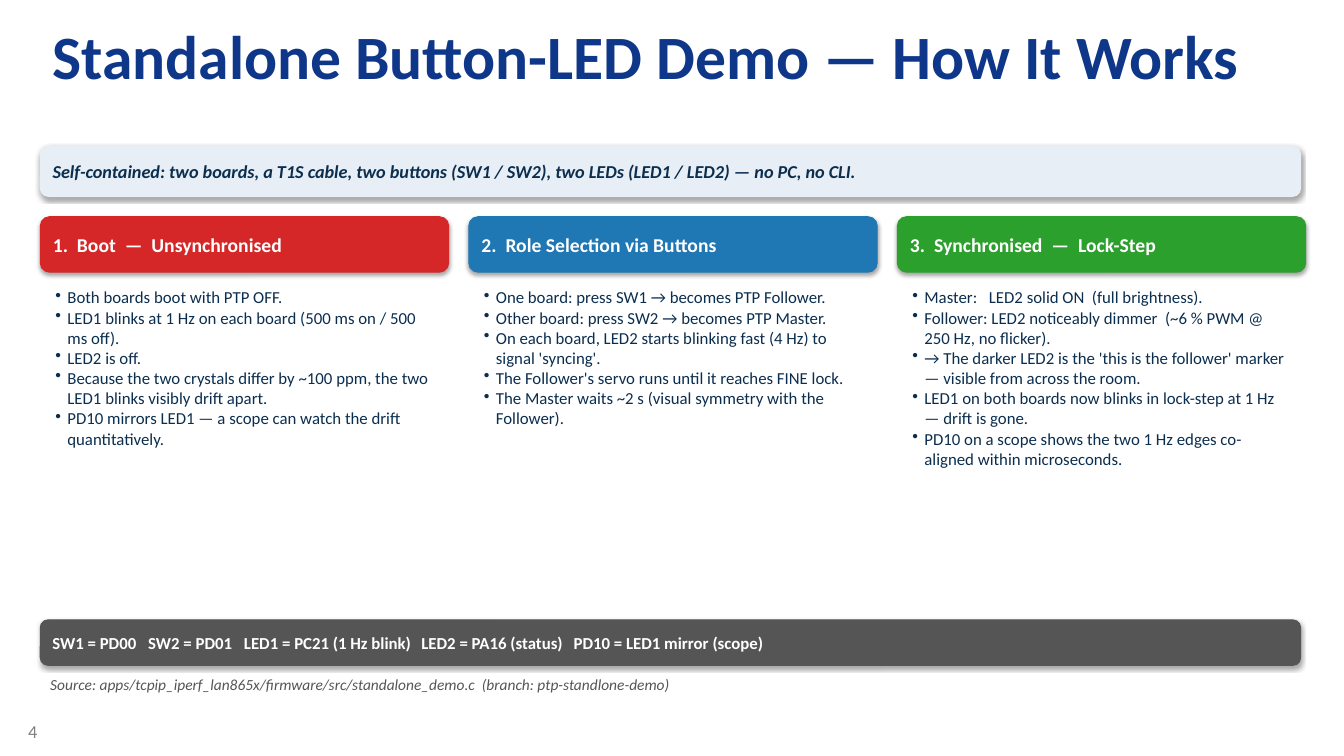
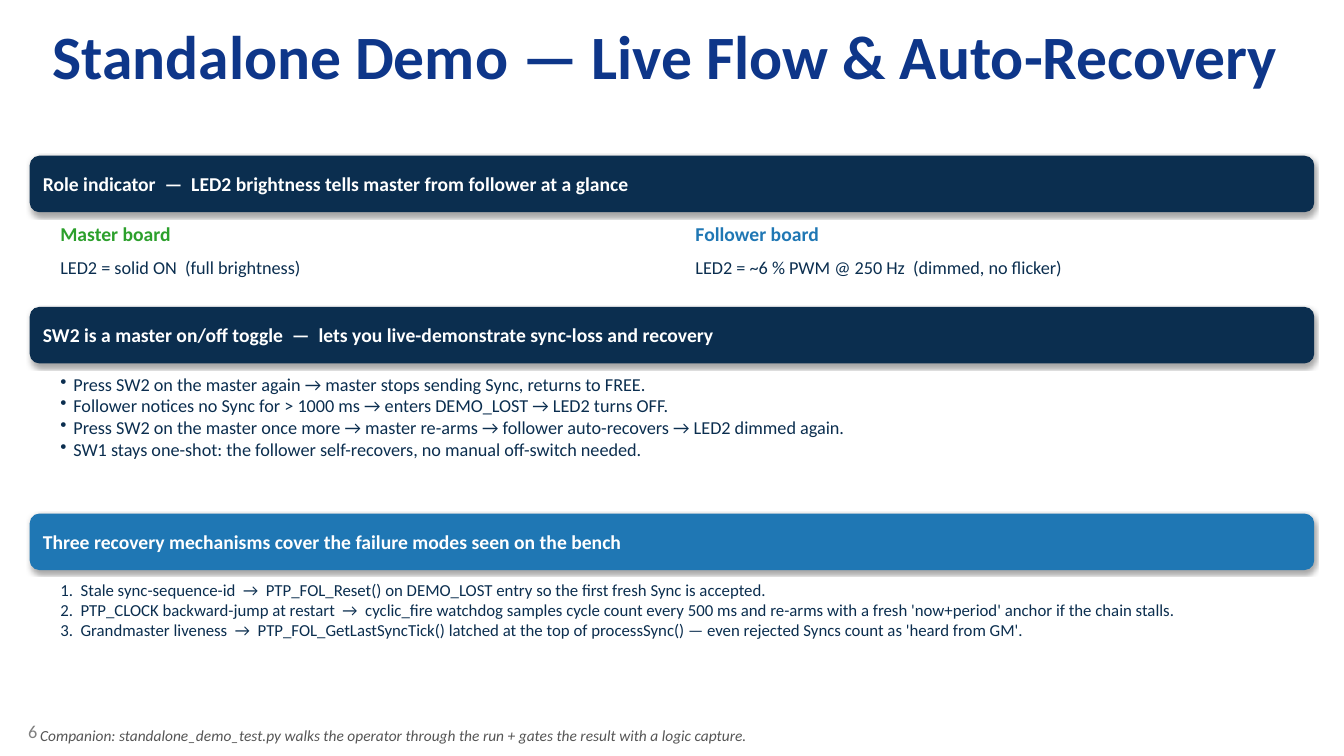
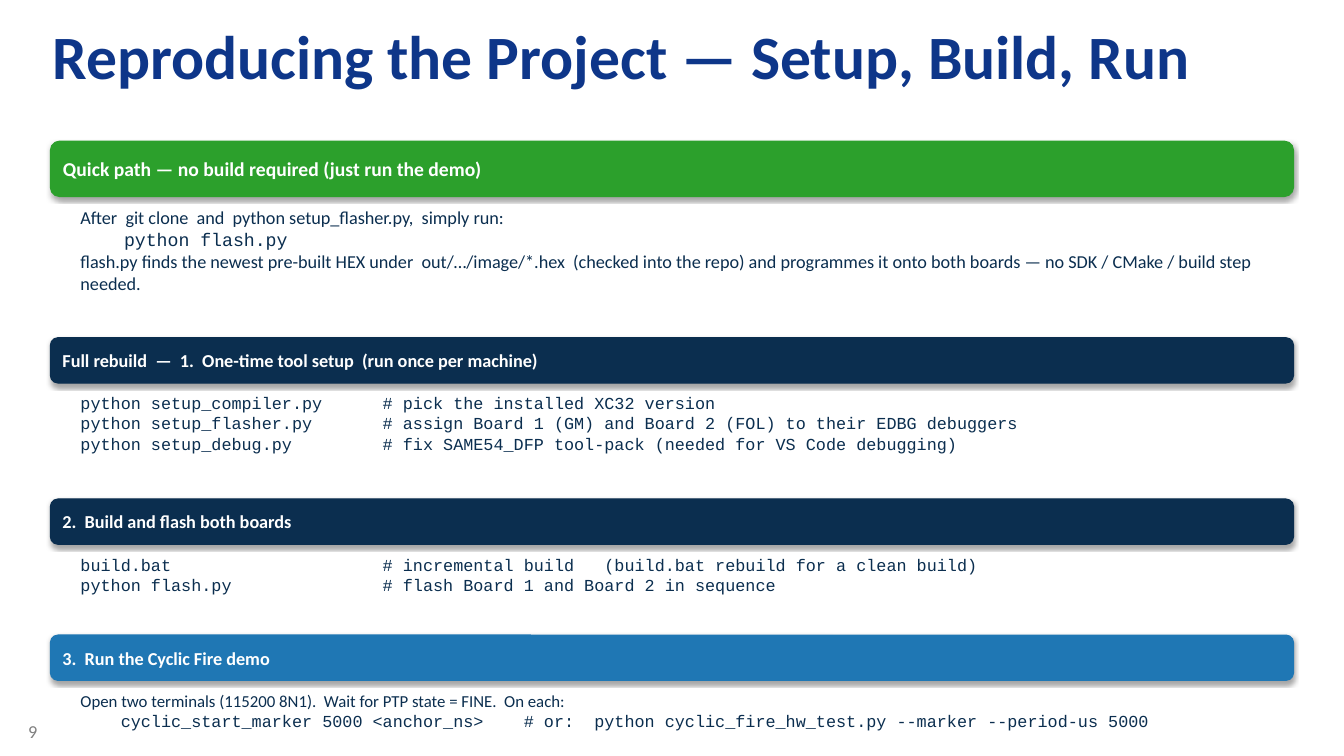
from dataclasses import dataclass
from itertools import pairwise

from lxml.etree import SubElement
from pptx import Presentation
from pptx.dml.color import RGBColor
from pptx.enum.shapes import MSO_SHAPE as Shape
from pptx.enum.text import MSO_ANCHOR as Anchor, MSO_AUTO_SIZE as AutoSize, PP_ALIGN as Align
from pptx.oxml.ns import qn
from pptx.util import Inches, Pt


@dataclass(frozen=True)
class Theme:
    title: str = "0E3689"
    navy: str = "0B2E4F"
    pale: str = "E8EEF5"
    red: str = "D62728"
    blue: str = "1F77B4"
    green: str = "2CA02C"
    gray: str = "555555"
    number: str = "808080"
    white: str = "FFFFFF"
    font: str = "Calibri"
    code_font: str = "Courier New"
    title_size: int = 44
    head_size: int = 14
    text_size: int = 13
    small_size: int = 12
    note_size: int = 11


THEME = Theme()
WIDTH, HEIGHT = 13.33, 7.5
GAP = 0.05
INDENT = 0.2

HOW_TITLE = "Standalone Button-LED Demo — How It Works"
HOW_SUMMARY = ("Self-contained: two boards, a T1S cable, two buttons (SW1 / SW2), "
               "two LEDs (LED1 / LED2) — no PC, no CLI.")
PHASES = [
    ("1.  Boot  —  Unsynchronised", THEME.red, [
        "Both boards boot with PTP OFF.",
        "LED1 blinks at 1 Hz on each board (500 ms on / 500 ms off).",
        "LED2 is off.",
        "Because the two crystals differ by ~100 ppm, the two LED1 blinks visibly drift apart.",
        "PD10 mirrors LED1 — a scope can watch the drift quantitatively.",
    ]),
    ("2.  Role Selection via Buttons", THEME.blue, [
        "One board: press SW1 → becomes PTP Follower.",
        "Other board: press SW2 → becomes PTP Master.",
        "On each board, LED2 starts blinking fast (4 Hz) to signal 'syncing'.",
        "The Follower's servo runs until it reaches FINE lock.",
        "The Master waits ~2 s (visual symmetry with the Follower).",
    ]),
    ("3.  Synchronised  —  Lock-Step", THEME.green, [
        "Master:\tLED2 solid ON  (full brightness).",
        "Follower: LED2 noticeably dimmer  (~6 % PWM @ 250 Hz, no flicker).",
        "→ The darker LED2 is the 'this is the follower' marker — visible from across the room.",
        "LED1 on both boards now blinks in lock-step at 1 Hz — drift is gone.",
        "PD10 on a scope shows the two 1 Hz edges co-aligned within microseconds.",
    ]),
]
PINS = ["SW1 = PD00", "SW2 = PD01", "LED1 = PC21 (1 Hz blink)", "LED2 = PA16 (status)",
        "PD10 = LED1 mirror (scope)"]
PIN_TABS = [0.95, 1.9, 3.66, 5.17]
ROLE_TAB = [0.76]
HOW_SOURCE = "Source: apps/tcpip_iperf_lan865x/firmware/src/standalone_demo.c  (branch: ptp-standlone-demo)"

FLOW_TITLE = "Standalone Demo — Live Flow & Auto-Recovery"
ROLES = [
    ("Master board", THEME.green, "LED2 = solid ON  (full brightness)"),
    ("Follower board", THEME.blue, "LED2 = ~6 % PWM @ 250 Hz  (dimmed, no flicker)"),
]
FLOW_SECTIONS = [
    (1.55, 0.55, "Role indicator  —  LED2 brightness tells master from follower at a glance",
     THEME.navy, THEME.text_size, []),
    (3.05, 0.55, "SW2 is a master on/off toggle  —  lets you live-demonstrate sync-loss and recovery",
     THEME.navy, THEME.text_size, [
         ("bullet", "Press SW2 on the master again → master stops sending Sync, returns to FREE."),
         ("bullet", "Follower notices no Sync for > 1000 ms → enters DEMO_LOST → LED2 turns OFF."),
         ("bullet", "Press SW2 on the master once more → master re-arms → follower auto-recovers "
                    "→ LED2 dimmed again."),
         ("bullet", "SW1 stays one-shot: the follower self-recovers, no manual off-switch needed."),
     ]),
    (5.1, 0.55, "Three recovery mechanisms cover the failure modes seen on the bench",
     THEME.blue, THEME.small_size, [
         ("number", "Stale sync-sequence-id  →  PTP_FOL_Reset() on DEMO_LOST entry so the first "
                    "fresh Sync is accepted."),
         ("number", "PTP_CLOCK backward-jump at restart  →  cyclic_fire watchdog samples cycle count "
                    "every 500 ms and re-arms with a fresh 'now+period' anchor if the chain stalls."),
         ("number", "Grandmaster liveness  →  PTP_FOL_GetLastSyncTick() latched at the top of "
                    "processSync() — even rejected Syncs count as 'heard from GM'."),
     ]),
]
FLOW_NOTE = ("Companion: standalone_demo_test.py walks the operator through the run + gates the "
             "result with a logic capture.")

BUILD_TITLE = "Reproducing the Project — Setup, Build, Run"
BUILD_SECTIONS = [
    (1.4, 0.55, "Quick path — no build required (just run the demo)", THEME.green, THEME.text_size, [
        ("plain", "After  git clone  and  python setup_flasher.py,  simply run:"),
        ("code", "    python flash.py"),
        ("plain", "flash.py finds the newest pre-built HEX under  out/…/image/*.hex  (checked into "
                  "the repo) and programmes it onto both boards — no SDK / CMake / build step needed."),
    ]),
    (3.35, 0.45, "Full rebuild  —  1.  One-time tool setup  (run once per machine)",
     THEME.navy, THEME.small_size, [
         ("code", "python setup_compiler.py      # pick the installed XC32 version"),
         ("code", "python setup_flasher.py       # assign Board 1 (GM) and Board 2 (FOL) to their "
                  "EDBG debuggers"),
         ("code", "python setup_debug.py         # fix SAME54_DFP tool-pack (needed for VS Code "
                  "debugging)"),
     ]),
    (4.95, 0.45, "2.  Build and flash both boards", THEME.navy, THEME.small_size, [
        ("code", "build.bat                     # incremental build   (build.bat rebuild for a "
                 "clean build)"),
        ("code", "python flash.py               # flash Board 1 and Board 2 in sequence"),
    ]),
    (6.3, 0.45, "3.  Run the Cyclic Fire demo", THEME.blue, THEME.small_size, [
        ("plain", "Open two terminals (115200 8N1).  Wait for PTP state = FINE.  On each:"),
        ("code", "    cyclic_start_marker 5000 <anchor_ns>    # or:  python cyclic_fire_hw_test.py "
                 "--marker --period-us 5000"),
    ]),
]


def add_span(para, text, size, color, bold=False, italic=False, font=THEME.font):
    span = para.add_run()
    span.text = text
    span.font.name, span.font.size = font, Pt(size)
    span.font.bold, span.font.italic = bold, italic
    span.font.color.rgb = RGBColor.from_string(color)


def set_tabs(para, stops):
    tabs = SubElement(para._p.get_or_add_pPr(), qn("a:tabLst"))
    for stop in stops:
        SubElement(tabs, qn("a:tab"), pos=str(Inches(stop)), algn="l")


def set_marker(para, kind, size):
    hang = Inches(size * (0.01 if kind == "bullet" else 0.0168))
    props = para._p.get_or_add_pPr()
    props.set("marL", str(hang))
    props.set("indent", str(-hang))
    if kind == "bullet":
        SubElement(props, qn("a:buChar"), char="•")
    else:
        SubElement(props, qn("a:buAutoNum"), type="arabicPeriod")


def add_box(page, left, top, width, height):
    box = page.shapes.add_textbox(*map(Inches, (left, top, width, height)))
    box.text_frame.word_wrap = True
    return box.text_frame


def add_lines(frame, lines, size):
    for index, (kind, text) in enumerate(lines):
        para = frame.add_paragraph() if index else frame.paragraphs[0]
        if kind in ("bullet", "number"):
            set_marker(para, kind, size)
        if "\t" in text:
            set_tabs(para, ROLE_TAB)
        font = THEME.code_font if kind == "code" else THEME.font
        add_span(para, text, size, THEME.navy, font=font)


def add_band(page, left, top, width, height, text, fill, size, color=THEME.white,
             italic=False, tabs=()):
    band = page.shapes.add_shape(Shape.ROUNDED_RECTANGLE, *map(Inches, (left, top, width, height)))
    band.fill.solid()
    band.fill.fore_color.rgb = band.line.color.rgb = RGBColor.from_string(fill)
    band.line.width = Pt(0.75)
    band.shadow.inherit = False
    effects = band._element.spPr.find(qn("a:effectLst"))
    shadow = SubElement(effects, qn("a:outerShdw"), blurRad=str(Pt(3.1)), dist=str(Pt(1.8)),
                        dir="5400000", rotWithShape="0")
    SubElement(SubElement(shadow, qn("a:srgbClr"), val="000000"), qn("a:alpha"), val="35000")
    band.text_frame.word_wrap = True
    band.text_frame.vertical_anchor = Anchor.MIDDLE
    para = band.text_frame.paragraphs[0]
    para.alignment = Align.LEFT
    if tabs:
        set_tabs(para, tabs)
    add_span(para, text, size, color, bold=True, italic=italic)


def add_note(page, left, top, text):
    frame = add_box(page, left, top, 12.5, 0.35)
    add_span(frame.paragraphs[0], text, THEME.note_size, THEME.gray, italic=True)


def add_page(deck, title, number):
    page = deck.slides.add_slide(deck.slide_layouts[5])
    heading = page.shapes.title
    heading.left, heading.top, heading.width, heading.height = map(Inches, (0.39, 0.11, 12.47, 1.75))
    frame = heading.text_frame
    frame.margin_left = frame.margin_right = Inches(0.13)
    frame.margin_top = frame.margin_bottom = Inches(0.07)
    frame.vertical_anchor, frame.auto_size, frame.word_wrap = Anchor.TOP, AutoSize.NONE, True
    para = frame.paragraphs[0]
    para.alignment = Align.LEFT
    add_span(para, title, THEME.title_size, THEME.title, bold=True)
    corner = add_box(page, 0.18, 7.1, 0.59, 0.4)
    add_span(corner.paragraphs[0], str(number), THEME.text_size, THEME.number)
    return page


def add_sections(page, left, sections):
    width = WIDTH - 2 * left
    tops = [section[0] for section in sections] + [HEIGHT]
    for (top, below), (_, height, head, fill, size, lines) in zip(pairwise(tops), sections):
        head_size = THEME.head_size if height > 0.5 else THEME.text_size
        add_band(page, left, top, width, height, head, fill, head_size)
        if lines:
            body_top = top + height + GAP
            frame = add_box(page, left + INDENT, body_top, width - 0.3, below - body_top)
            add_lines(frame, lines, size)


def build_how(deck):
    page = add_page(deck, HOW_TITLE, 4)
    left, width, column, gutter = 0.4, 12.5, 4.05, 0.2
    add_band(page, left, 1.45, width, 0.5, HOW_SUMMARY, THEME.pale, THEME.text_size,
             THEME.navy, italic=True)
    for index, (head, fill, items) in enumerate(PHASES):
        x = left + index * (column + gutter)
        add_band(page, x, 2.15, column, 0.55, head, fill, THEME.head_size)
        frame = add_box(page, x + GAP, 2.8, column - 2 * GAP, 3)
        add_lines(frame, [("bullet", item) for item in items], THEME.small_size)
    add_band(page, left, 6.15, width, 0.45, "\t".join(PINS), THEME.gray, THEME.small_size,
             tabs=PIN_TABS)
    add_note(page, left, 6.65, HOW_SOURCE)


def build_flow(deck):
    page = add_page(deck, FLOW_TITLE, 6)
    left = 0.3
    add_sections(page, left, FLOW_SECTIONS)
    for index, (role, color, state) in enumerate(ROLES):
        frame = add_box(page, left + INDENT + index * 6.3, 2.15, 6.2, 0.75)
        add_span(frame.paragraphs[0], role, THEME.head_size, color, bold=True)
        para = frame.add_paragraph()
        para.space_before = Pt(8)
        add_span(para, state, THEME.text_size, THEME.navy)
    add_note(page, left, 7.15, FLOW_NOTE)


def build_reproduce(deck):
    page = add_page(deck, BUILD_TITLE, 9)
    add_sections(page, 0.5, BUILD_SECTIONS)


def main():
    deck = Presentation()
    deck.slide_width, deck.slide_height = Inches(WIDTH), Inches(HEIGHT)
    for build in (build_how, build_flow, build_reproduce):
        build(deck)
    deck.save("out.pptx")


if __name__ == "__main__":
    main()
